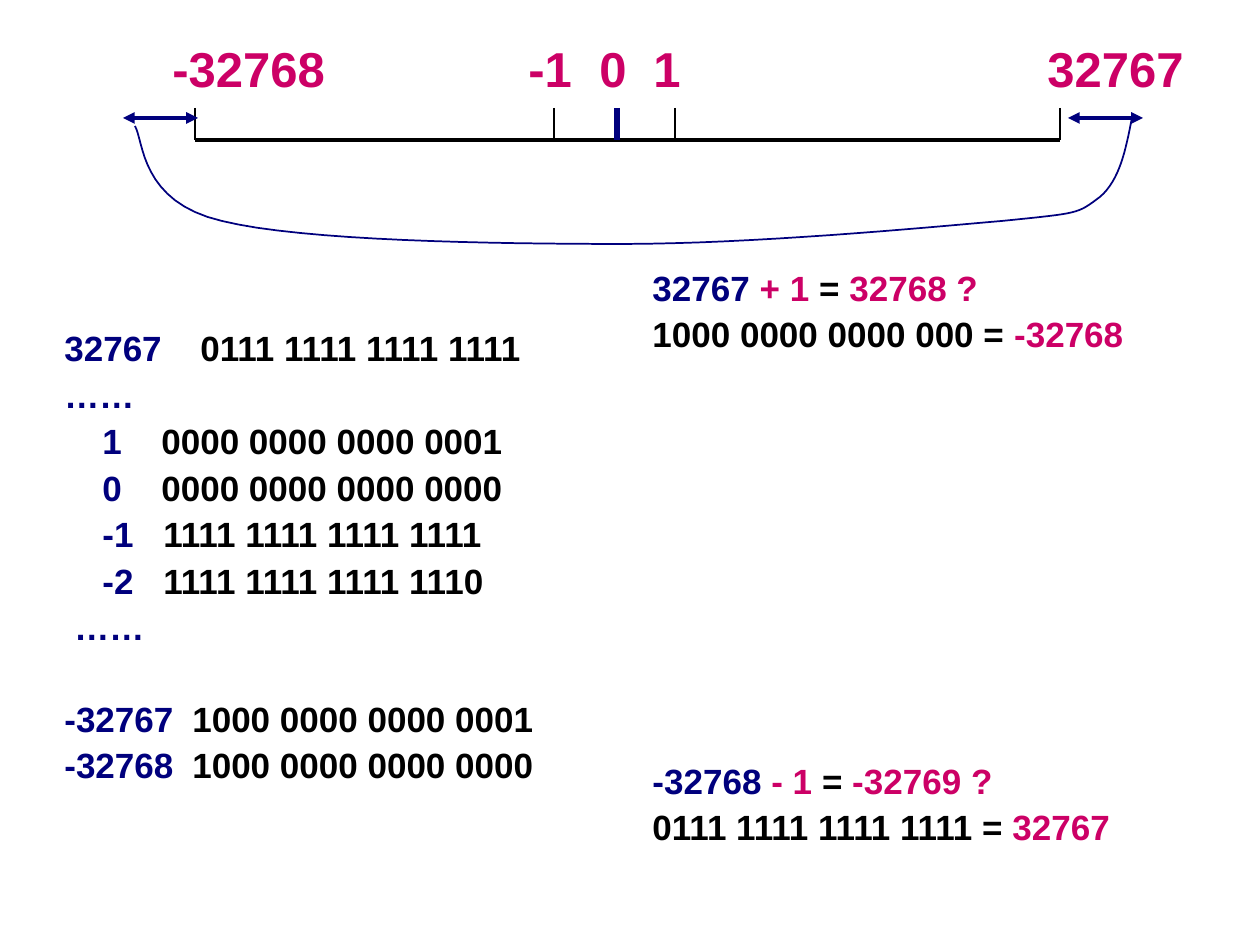
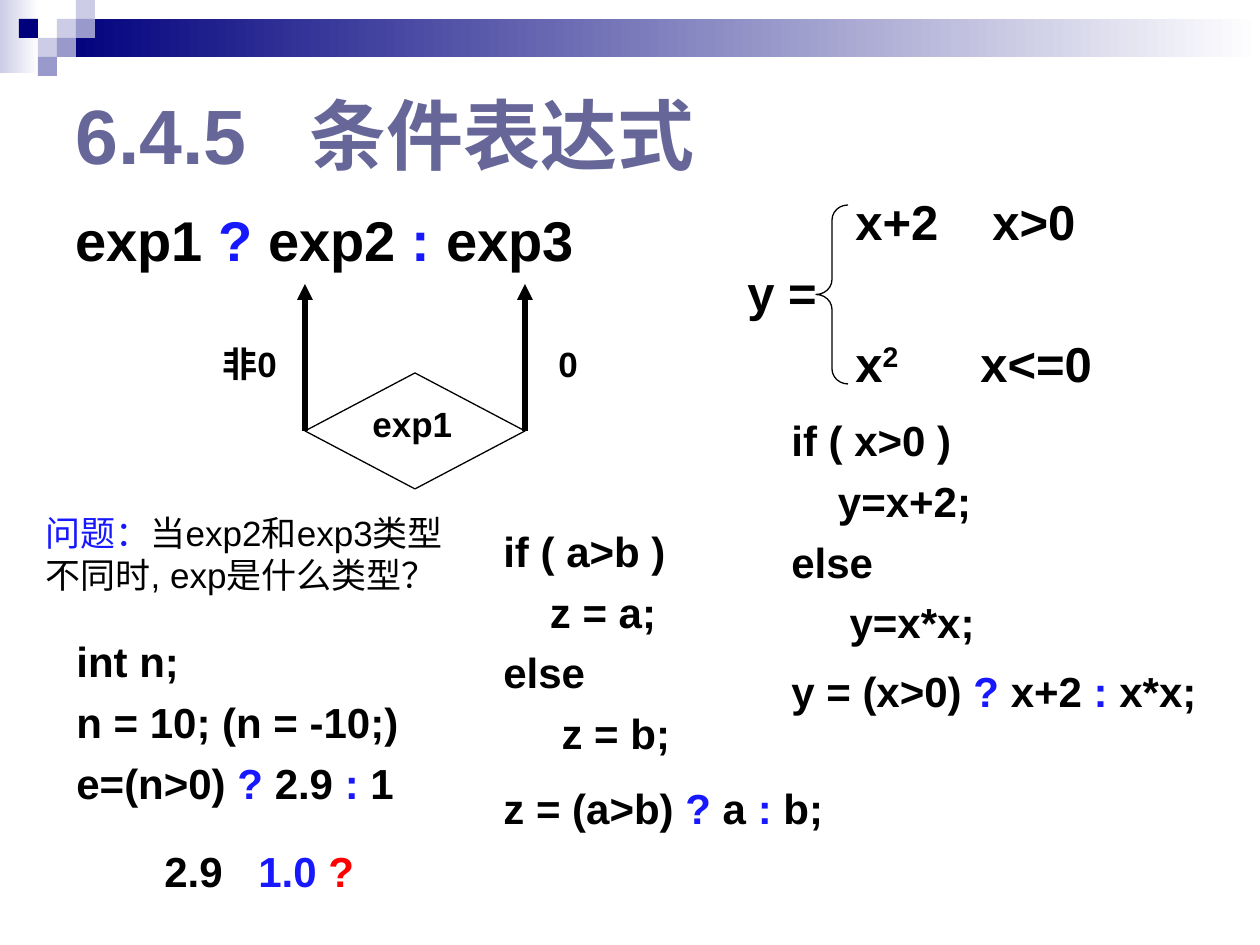
"""Build two slides on integer overflow and the conditional expression."""
from dataclasses import dataclass

from lxml.etree import SubElement
from pptx import Presentation
from pptx.dml.color import RGBColor
from pptx.enum.shapes import MSO_CONNECTOR as Link, MSO_SHAPE as Shape
from pptx.enum.text import MSO_ANCHOR as Anchor
from pptx.oxml.ns import qn
from pptx.util import Pt


@dataclass(frozen=True)
class Theme:
    """Shared colours, type sizes and spacing."""
    font: str = "Arial"
    black: str = "000000"
    white: str = "FFFFFF"
    navy: str = "00007D"
    magenta: str = "CC0066"
    blue: str = "1818FF"
    red: str = "FF0000"
    title_ink: str = "666699"
    pale: str = "CCCCE6"
    lilac: str = "9999CC"
    title: int = 44
    pattern: int = 32
    formula: int = 28
    code: int = 24
    small: int = 20
    gap: float = 0.25
    hairline: float = 0.75
    thin: float = 1
    medium: float = 2.25
    thick: float = 3


@dataclass(frozen=True)
class Line:
    """One paragraph: coloured runs, tab stops in px, extra lines above."""
    runs: tuple
    tabs: tuple = ()
    skipped: int = 0


T = Theme()
EMU_PER_PX = 914400 / 126
SLIDE_SIZE = 1260, 945

SCALE_LABELS = [Line((("\t-32768\t-1\t0\t1\t32767", T.magenta),),
                     (116, 472, 543, 597, 991))]
AXIS_TOP, AXIS_BASE = 108, 140
AXIS_ENDS = 195, 1060
TICKS = [(195, T.black, T.thin), (554, T.black, T.thin), (617, T.navy, T.thick),
         (675, T.black, T.thin), (1060, T.black, T.thin)]
OVERFLOW_ARROWS = [(1068, 1143), (123, 198)]
ARROW_Y = 118
WRAP_START = 1132, 118
WRAP_CURVES = [
    ((1126, 149), (1120, 180), (1100, 197)),
    ((1077, 214), (1081, 213), (1002, 221)),
    ((922, 228), (752, 244), (622, 244)),
    ((493, 244), (302, 241), (222, 221)),
    ((140, 202), (144, 141), (135, 126)),
]
CURVE_STEPS = 16

BIT_PATTERNS = [
    ("32767", 20, "0111 1111 1111 1111", 156, 0),
    ("……", 20, "", 0, 0),
    ("1", 58, "0000 0000 0000 0001", 117, 0),
    ("0", 58, "0000 0000 0000 0000", 117, 0),
    ("-1", 58, "1111 1111 1111 1111", 119, 0),
    ("-2", 58, "1111 1111 1111 1110", 119, 0),
    ("……", 30, "", 0, 0),
    ("-32767", 20, "1000 0000 0000 0001", 148, 1),
    ("-32768", 20, "1000 0000 0000 0000", 148, 0),
]
OVERFLOWS = [
    (265, "32767", "+ 1", "32768 ?", "1000 0000 0000 000", "-32768"),
    (758, "-32768", "- 1", "-32769 ?", "0111 1111 1111 1111", "32767"),
]

CHECKER_CELL = 19
CHECKERS = [(3, 1, T.pale), (4, 0, T.pale), (4, 1, T.lilac), (2, 2, T.pale),
            (1, 1, T.navy), (3, 2, T.lilac), (2, 3, T.lilac)]
BANDS = [((0, 0, 39, 73), T.pale), ((57, 19, 1203, 38), T.navy)]
TITLE = Line((("6.4.5\t条件表达式", T.title_ink),), (234,))
BRANCH_XS = 305, 525
BRANCH_TOP, BRANCH_BASE = 284, 431
DIAMOND = 305, 373, 220, 116
BRACE = 816, 205, 32, 179


def plain(*texts):
    """Return single-run black lines."""
    return [Line(((text, T.black),)) for text in texts]


def conditional(test, yes, no):
    """Return a line with the two conditional operators highlighted."""
    return Line(((f"{test} ", T.black), ("?", T.blue), (f" {yes} ", T.black),
                 (":", T.blue), (f" {no}", T.black)))


CONDITION_TEXTS = [
    ((63, 199, 538, 105), T.pattern, [conditional("exp1", "exp2", "exp3")]),
    ((210, 336, 84, 54), T.small, plain("非0")),
    ((546, 336, 42, 54), T.small, plain("0")),
    ((360, 396, 113, 54), T.small, plain("exp1")),
    ((779, 659, 476, 63), T.code, [conditional("y = (x>0)", "x+2", "x*x;")]),
    ((64, 629, 387, 185), T.code,
     plain("int n;", "n = 10; (n = -10;)") + [conditional("e=(n>0)", "2.9", "1")]),
    ((152, 839, 250, 60), T.code,
     [Line((("2.9\t", T.black), ("1.0 ", T.blue), ("?", T.red)), (94,))]),
    ((779, 408, 228, 242), T.code,
     plain("if ( x>0 )", "    y=x+2;", "else", "     y=x*x;")),
    ((491, 776, 358, 63), T.code, [conditional("z = (a>b)", "a", "b;")]),
    ((491, 519, 228, 242), T.code,
     plain("if ( a>b )", "    z = a;", "else", "     z = b;")),
    ((735, 185, 451, 210), T.formula, [
        Line((("\tx+2\tx>0", T.black),), (108, 245)),
        Line((("y =", T.black),)),
        Line((("\tx", T.black), ("2", T.black, 30000), ("\tx<=0", T.black)),
             (108, 233)),
    ]),
]
QUESTION = [Line((("问题：", T.blue), ("当exp2和exp3类型不同时, exp是什么类型？", T.black)))]


def px(value):
    """Turn px into EMU."""
    return round(value * EMU_PER_PX)


def place(box):
    """Turn a px box into EMU."""
    return [px(value) for value in box]


def rgb(colour):
    """Return the colour object for a hex string."""
    return RGBColor.from_string(colour)


def write(slide, box, size, lines, bold=True, spacing=None, anchor=Anchor.TOP):
    """Write lines of coloured runs in a text box."""
    frame = slide.shapes.add_textbox(*place(box)).text_frame
    frame.word_wrap = True
    frame.vertical_anchor = anchor
    for index, line in enumerate(lines):
        paragraph = frame.add_paragraph() if index else frame.paragraphs[0]
        if line.tabs:
            stops = SubElement(paragraph._p.get_or_add_pPr(), qn("a:tabLst"))
            for stop in line.tabs:
                SubElement(stops, qn("a:tab"), pos=str(px(stop)), algn="l")
        if spacing:
            paragraph.line_spacing = spacing
        if index:
            pitch = size * ((spacing or 1) * 1.15 + T.gap)
            paragraph.space_before = Pt(size * T.gap + line.skipped * pitch)
        for text, colour, *raised in line.runs:
            run = paragraph.add_run()
            run.text = text
            run.font.name, run.font.size, run.font.bold = T.font, Pt(size), bold
            run.font.color.rgb = rgb(colour)
            for baseline in raised:
                run._r.get_or_add_rPr().set("baseline", str(baseline))


def stroke(slide, start, end, colour, width, arrows=()):
    """Draw a straight line, with arrowheads at the named ends."""
    link = slide.shapes.add_connector(Link.STRAIGHT, *place(start + end))
    link.line.color.rgb = rgb(colour)
    link.line.width = Pt(width)
    for end_tag in arrows:
        SubElement(link.line._get_or_add_ln(), qn(f"a:{end_tag}"), type="triangle")
    SubElement(link._element.spPr, qn("a:effectLst"))


def outline(shape, colour, width):
    """Leave a shape unfilled with a coloured outline."""
    shape.shadow.inherit = False
    shape.fill.background()
    shape.line.color.rgb = rgb(colour)
    shape.line.width = Pt(width)
    return shape


def block(slide, box, colour, fading=False):
    """Draw a borderless rectangle, optionally fading to white."""
    shape = slide.shapes.add_shape(Shape.RECTANGLE, *place(box))
    shape.shadow.inherit = False
    shape.line.fill.background()
    if fading:
        shape.fill.gradient()
        shape.fill.gradient_angle = 0
        for stop, shade in zip(shape.fill.gradient_stops, (colour, T.white)):
            stop.color.rgb = rgb(shade)
    else:
        shape.fill.solid()
        shape.fill.fore_color.rgb = rgb(colour)


def header(slide, title):
    """Draw the checkered header band and the title."""
    for box, colour in BANDS:
        block(slide, box, colour, fading=True)
    for column, row, colour in CHECKERS:
        block(slide, (column * CHECKER_CELL, row * CHECKER_CELL,
                      CHECKER_CELL, CHECKER_CELL), colour)
    write(slide, (63, 63, 954, 141), T.title, [title], anchor=Anchor.MIDDLE)


def curve_points(start, curves):
    """Sample points along chained cubic curves."""
    for first, second, end in curves:
        for step in range(1, CURVE_STEPS + 1):
            t = step / CURVE_STEPS
            u = 1 - t
            yield tuple(px(u**3 * a + 3 * u * u * t * b + 3 * u * t * t * c + t**3 * d)
                        for a, b, c, d in zip(start, first, second, end))
        start = end


def overflow_slide(slide):
    """Show how 16-bit integers wrap around."""
    write(slide, (44, 32, 1201, 73), T.formula, SCALE_LABELS)
    left, right = AXIS_ENDS
    stroke(slide, (left, AXIS_BASE), (right, AXIS_BASE), T.black, T.medium)
    for x, colour, width in TICKS:
        stroke(slide, (x, AXIS_TOP), (x, AXIS_BASE), colour, width)
    for start, end in OVERFLOW_ARROWS:
        stroke(slide, (start, ARROW_Y), (end, ARROW_Y), T.navy, T.medium,
               ("headEnd", "tailEnd"))
    wrap = slide.shapes.build_freeform(*place(WRAP_START))
    wrap.add_line_segments(list(curve_points(WRAP_START, WRAP_CURVES)), close=False)
    outline(wrap.convert_to_shape(), T.navy, T.thin)

    rows = []
    for value, value_x, bits, bits_x, skipped in BIT_PATTERNS:
        runs, tabs = ((f"\t{value}", T.navy),), (value_x,)
        if bits:
            runs, tabs = runs + ((f"\t{bits}", T.black),), tabs + (bits_x,)
        rows.append(Line(runs, tabs, skipped))
    write(slide, (32, 325, 708, 473), T.small, rows, spacing=0.9)
    for top, value, change, expected, bits, actual in OVERFLOWS:
        sums = [
            Line(((f"{value} ", T.navy), (f"{change} ", T.magenta), ("=", T.black),
                  (f" {expected}", T.magenta))),
            Line(((f"{bits} =", T.black), (f" {actual}", T.magenta))),
        ]
        write(slide, (640, top, 588, 100), T.small, sums, spacing=0.9)


def conditional_slide(slide):
    """Explain the conditional expression."""
    header(slide, TITLE)
    for x in BRANCH_XS:
        stroke(slide, (x, BRANCH_TOP), (x, BRANCH_BASE), T.black, T.thick, ("headEnd",))
    for kind, box in ((Shape.DIAMOND, DIAMOND), (Shape.LEFT_BRACE, BRACE)):
        figure = outline(slide.shapes.add_shape(kind, *place(box)), T.black, T.hairline)
    figure.adjustments[0] = 0.47
    for box, size, lines in CONDITION_TEXTS:
        write(slide, box, size, lines)
    write(slide, (33, 505, 449, 97), T.small, QUESTION, bold=False)


def main():
    """Build and save the deck."""
    deck = Presentation()
    deck.slide_width, deck.slide_height = place(SLIDE_SIZE)
    for build in (overflow_slide, conditional_slide):
        build(deck.slides.add_slide(deck.slide_layouts[6]))
    deck.save("out.pptx")


if __name__ == "__main__":
    main()
